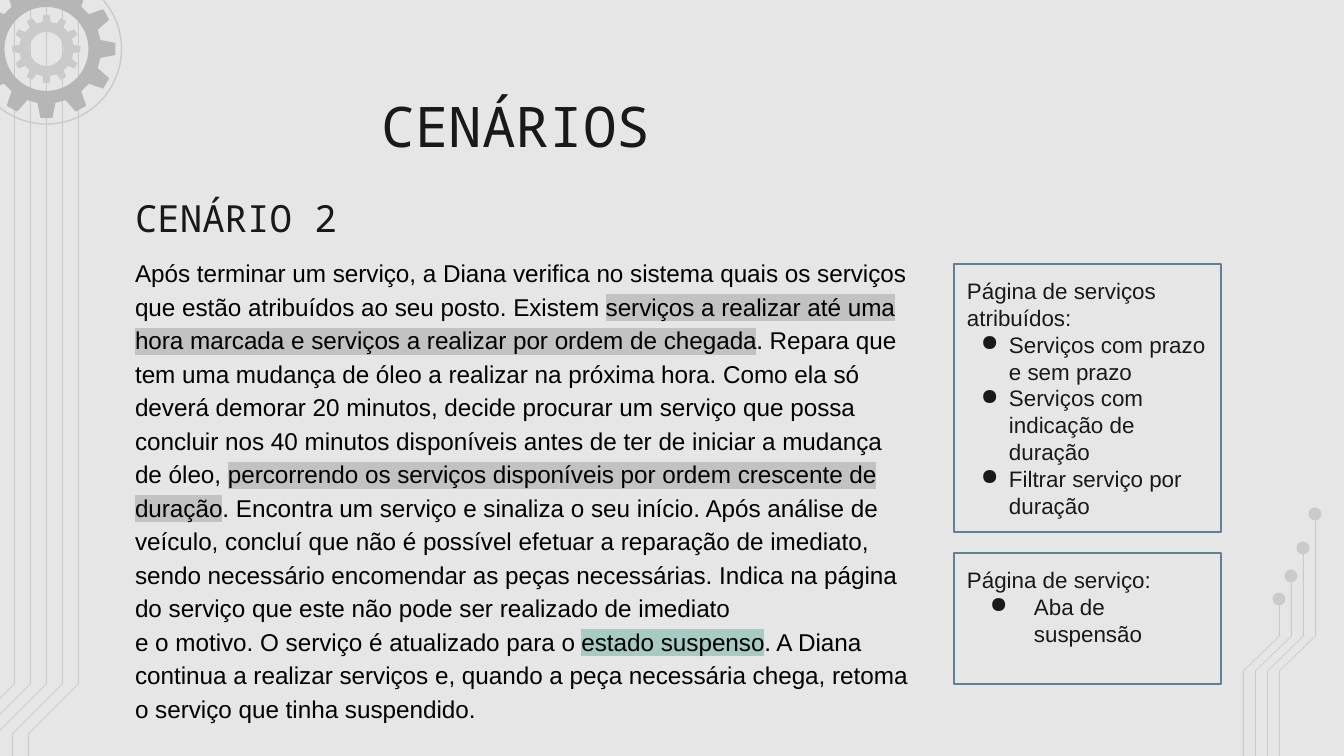
from math import cos, pi, sin

from lxml.etree import SubElement
from pptx import Presentation
from pptx.dml.color import RGBColor
from pptx.enum.shapes import MSO_SHAPE as Shape
from pptx.enum.text import MSO_ANCHOR as Anchor, MSO_AUTO_SIZE as AutoSize, PP_ALIGN as Align
from pptx.oxml.ns import qn
from pptx.util import Pt

PX = 914400 / 134.4
WIDTH, HEIGHT = 1344, 756
INSET = 13
SANS, MONO = "Arial", "Noto Sans Mono"
COLORS = {
    "background": "E6E6E6", "trace": "CACACA", "gear": "B6B6B6", "border": "5F8195",
    "ink": "191919", "black": "000000", "grey mark": "C2C2C2", "green mark": "A6CBC2",
}

# Content: each paragraph is a list of (text, highlight)
TITLE = "CENÁRIOS"
SUBTITLE = "CENÁRIO 2"
STORY = [
    [("Após terminar um serviço, a Diana verifica no sistema quais os serviços que estão "
      "atribuídos ao seu posto. Existem ", None),
     ("serviços a realizar até uma hora marcada e serviços a realizar por ordem de chegada",
      "grey mark"),
     (". Repara que tem uma mudança de óleo a realizar na próxima hora. Como ela só deverá "
      "demorar 20 minutos, decide procurar um serviço que possa concluir nos 40 minutos "
      "disponíveis antes de ter de iniciar a mudança", None)],
    [("de óleo, ", None),
     ("percorrendo os serviços disponíveis por ordem crescente de duração", "grey mark"),
     (". Encontra um serviço e sinaliza o seu início. Após análise de veículo, concluí que não é "
      "possível efetuar a reparação de imediato, sendo necessário encomendar as peças "
      "necessárias. Indica na página do serviço que este não pode ser realizado de imediato",
      None)],
    [("e o motivo. O serviço é atualizado para o ", None),
     ("estado suspenso", "green mark"),
     (". A Diana continua a realizar serviços e, quando a peça necessária chega, retoma o "
      "serviço que tinha suspendido.", None)],
]
CARDS = [
    {"top": 264, "height": 268, "indent": 42, "hang": 28,
     "heading": "Página de serviços atribuídos:",
     "items": ["Serviços com prazo e sem prazo", "Serviços com indicação de duração",
               "Filtrar serviço por duração"]},
    {"top": 553, "height": 131, "indent": 67, "hang": 44,
     "heading": "Página de serviço:", "items": ["Aba de suspensão"]},
]
CARD_LEFT, CARD_WIDTH = 954, 267

# Decoration
LEFT_TRACES = [78, 62, 46, 30, 14]
RIGHT_TRACES = [(1315, 514, 759), (1303, 548, 769), (1291, 576, 781), (1279, 599, 794)]
DOT = 13
GEAR_CENTER = (46.5, 49)
RING_RADIUS = 75
TEETH = 12
GEARS = [
    {"tip": 34, "tip_half": 3, "root": 27, "root_half": 4, "hole": 17, "color": "trace"},
    {"tip": 69, "tip_half": 6, "root": 54, "root_half": 9, "hole": 42, "color": "gear"},
]


def emu(px):
    return round(px * PX)


def rgb(name):
    return RGBColor.from_string(COLORS[name])


def add_outline(contours, color):
    """Draw closed contours, given in px, as one filled outline."""
    scaled = [[(emu(x), emu(y)) for x, y in points] for points in contours]
    builder = slide.shapes.build_freeform(*scaled[0][0])
    builder.add_line_segments(scaled[0][1:])
    for points in scaled[1:]:
        builder.move_to(*points[0])
        builder.add_line_segments(points[1:])
    outline = builder.convert_to_shape()
    outline.shadow.inherit = False
    outline.fill.solid()
    outline.fill.fore_color.rgb = rgb(color)
    outline.line.fill.background()


def add_trace(points):
    """Draw a thin ribbon along the points."""
    add_outline([points + [(x + 1, y) for x, y in reversed(points)]], "trace")


def add_shape(kind, left, top, width, height, fill=None, line=None):
    shape = slide.shapes.add_shape(kind, *map(emu, (left, top, width, height)))
    shape.shadow.inherit = False
    if fill:
        shape.fill.solid()
        shape.fill.fore_color.rgb = rgb(fill)
    else:
        shape.fill.background()
    if line:
        shape.line.color.rgb = rgb(line)
        shape.line.width = Pt(0.75)
    else:
        shape.line.fill.background()
    return shape


def gear_contours(gear):
    def turn(x, y, angle):
        return (GEAR_CENTER[0] + x * cos(angle) - y * sin(angle),
                GEAR_CENTER[1] + x * sin(angle) + y * cos(angle))

    tooth = [(-gear["root_half"], -gear["root"]), (-gear["tip_half"], -gear["tip"]),
             (gear["tip_half"], -gear["tip"]), (gear["root_half"], -gear["root"])]
    rim = [turn(x, y, 2 * pi * n / TEETH) for n in range(TEETH) for x, y in tooth]
    hole = [turn(0, -gear["hole"], -2 * pi * n / 60) for n in range(60)]
    return [rim, hole]


def place(box, left, top, width, height):
    box.left, box.top, box.width, box.height = map(emu, (left, top, width, height))


def set_frame(box, anchor=Anchor.TOP):
    frame = box.text_frame
    frame.word_wrap = True
    frame.auto_size = AutoSize.NONE
    frame.vertical_anchor = anchor
    frame.margin_left = frame.margin_right = frame.margin_top = frame.margin_bottom = emu(INSET)
    return frame


def add_paragraph(frame, index, spans, font, size, color, align=Align.LEFT,
                  spacing=1.0, bullet=None):
    para = frame.paragraphs[0] if index == 0 else frame.add_paragraph()
    para.alignment = align
    para.line_spacing = spacing
    para.space_before = Pt(0)
    indent, hang = bullet or (0, 0)
    properties = para._p.get_or_add_pPr()
    properties.set("marL", str(emu(indent)))
    properties.set("indent", str(-emu(hang)))
    if bullet:
        tint = SubElement(properties, qn("a:buClr"))
        SubElement(tint, qn("a:srgbClr"), val=COLORS[color])
        SubElement(properties, qn("a:buChar"), char="●")
    else:
        SubElement(properties, qn("a:buNone"))
    for text, mark in spans:
        span = para.add_run()
        span.text = text
        span.font.size = Pt(size)
        span.font.color.rgb = rgb(color)
        if mark:
            highlight = SubElement(span.font._element, qn("a:highlight"))
            SubElement(highlight, qn("a:srgbClr"), val=COLORS[mark])
        span.font.name = font


deck = Presentation()
deck.slide_width, deck.slide_height = emu(WIDTH), emu(HEIGHT)
slide = deck.slides.add_slide(deck.slide_layouts[3])
slide.background.fill.solid()
slide.background.fill.fore_color.rgb = rgb("background")

# Circuit traces on both sides
for x in LEFT_TRACES:
    add_trace([(x, -36), (x, 684), (x - 50, 734), (x - 50, 951), (x + 62, 1063), (x + 62, 1335)])
for x, top, bottom in RIGHT_TRACES:
    add_trace([(x, top), (x, 636), (x - 36, 671), (x - 36, bottom)])
    add_shape(Shape.OVAL, x - DOT / 2, top - DOT / 2, DOT, DOT, fill="trace")

# Gears in the corner
for gear in GEARS:
    add_outline(gear_contours(gear), gear["color"])
add_shape(Shape.OVAL, GEAR_CENTER[0] - RING_RADIUS, GEAR_CENTER[1] - RING_RADIUS,
          2 * RING_RADIUS, 2 * RING_RADIUS, line="trace")

# Title, subtitle and story
title, story, subtitle = slide.placeholders
place(title, 106, 79, 820, 85)
add_paragraph(set_frame(title), 0, [(TITLE, None)], MONO, 30, "ink", Align.CENTER)
place(subtitle, 122, 144, 538, 109)
add_paragraph(set_frame(subtitle, Anchor.BOTTOM), 0, [(SUBTITLE, None)], MONO, 20, "ink")
place(story, 122, 241, 802, 482)
story_frame = set_frame(story)
for index, spans in enumerate(STORY):
    add_paragraph(story_frame, index, spans, SANS, 13, "black", spacing=1.15)

# Requirement cards
for card in CARDS:
    box = add_shape(Shape.RECTANGLE, CARD_LEFT, card["top"], CARD_WIDTH, card["height"],
                    line="border")
    frame = set_frame(box)
    for index, text in enumerate([card["heading"], *card["items"]]):
        bullet = (card["indent"], card["hang"]) if index else None
        add_paragraph(frame, index, [(text, None)], SANS, 12, "ink", bullet=bullet)

deck.save("out.pptx")
